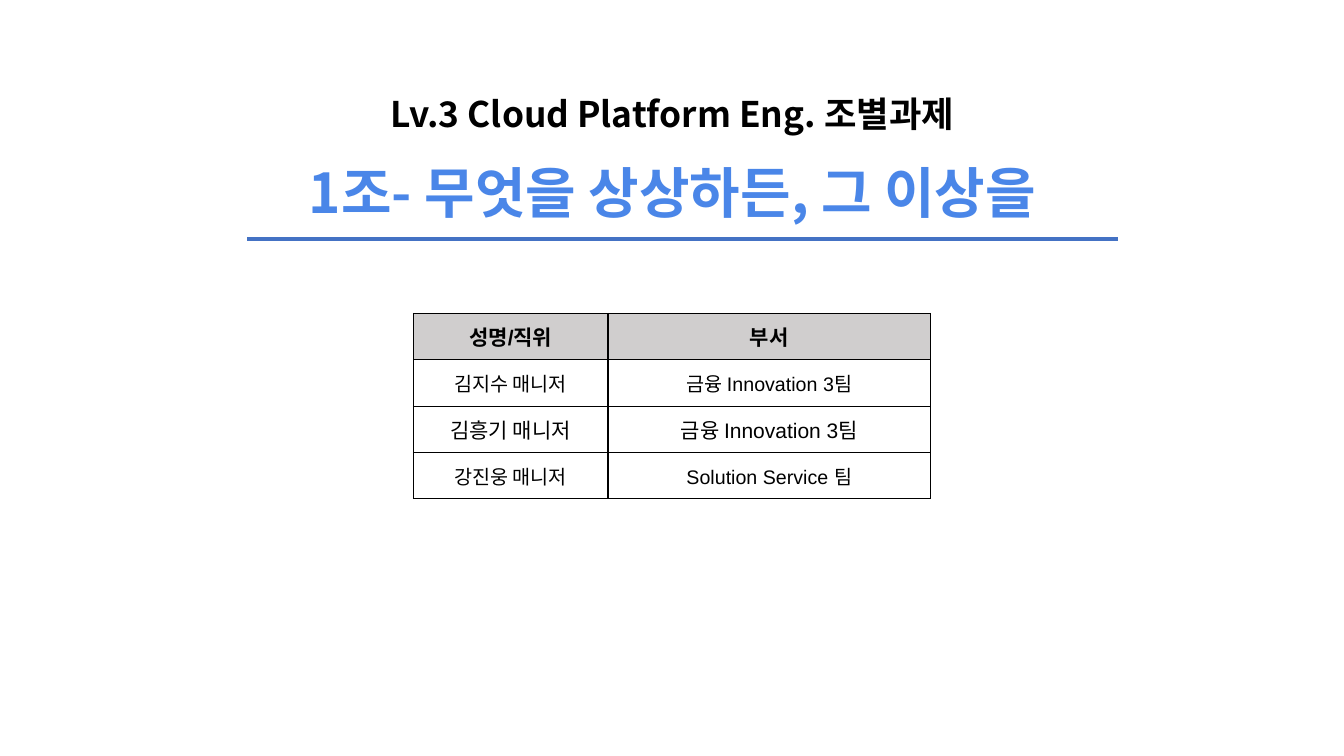
"""Build the title slide of a team assignment with its member table."""
from lxml import etree
from pptx import Presentation
from pptx import util as u
from pptx.dml.color import RGBColor
from pptx.enum import shapes, text
from pptx.oxml.ns import qn

BLACK = RGBColor(0x00, 0x00, 0x00)
WHITE = RGBColor(0xFF, 0xFF, 0xFF)
TITLE_BLUE = RGBColor(0x4A, 0x86, 0xE8)
RULE_BLUE = RGBColor(0x44, 0x72, 0xC4)
HEADER_GRAY = RGBColor(0xD0, 0xCE, 0xCE)
TITLE_FONT = "Noto Sans CJK KR"
TABLE_FONT = "Arial"

TITLE_LINES = [
    ("Lv.3 Cloud Platform Eng. 조별과제", 25.2, BLACK, 0),
    ("1조- 무엇을 상상하든, 그 이상을", 39.2, TITLE_BLUE, 22),
]
MEMBERS = [
    ("성명/직위", "부서", 15),
    ("김지수 매니저", "금융 Innovation 3팀", 14),
    ("김흥기 매니저", "금융 Innovation 3팀", 15),
    ("강진웅 매니저", "Solution Service 팀", 14),
]
COLUMN_WIDTHS = (1.93, 3.2)
ROW_HEIGHT = 0.46


def write_line(para, words, font_name, size, color, bold):
    """Fill a centred paragraph with one formatted run."""
    para.text = words
    para.alignment = text.PP_ALIGN.CENTER
    span = para.runs[0]
    span.font.name = font_name
    span.font.size = u.Pt(size)
    span.font.bold = bold
    span.font.color.rgb = color
    east_asian = etree.SubElement(span.font._element, qn("a:ea"))
    east_asian.set("typeface", TITLE_FONT)


def add_title(page):
    """Add the two-line title, resting on the bottom of its box."""
    box = page.shapes.add_textbox(u.Inches(1.67), u.Inches(0.99), u.Inches(10), u.Inches(1.29))
    frame = box.text_frame
    frame.word_wrap = True
    frame.vertical_anchor = text.MSO_ANCHOR.BOTTOM
    for index, (words, size, color, gap) in enumerate(TITLE_LINES):
        para = frame.add_paragraph() if index else frame.paragraphs[0]
        para.line_spacing = 0.9
        para.space_before = u.Pt(gap)
        write_line(para, words, TITLE_FONT, size, color, True)


def add_rule(page):
    """Add the blue rule under the title."""
    rule = page.shapes.add_connector(
        shapes.MSO_CONNECTOR.STRAIGHT,
        u.Inches(2.45), u.Inches(2.37), u.Inches(11.09), u.Inches(2.37))
    rule.line.color.rgb = RULE_BLUE
    rule.line.width = u.Pt(3)
    etree.SubElement(rule._element.spPr, qn("a:effectLst"))


def style_cell(cell, fill_color):
    """Give a cell its fill, middle anchor and thin black borders."""
    cell.vertical_anchor = text.MSO_ANCHOR.MIDDLE
    cell.fill.solid()
    cell.fill.fore_color.rgb = fill_color
    properties = cell._tc.get_or_add_tcPr()
    for position, side in enumerate(("lnL", "lnR", "lnT", "lnB")):
        border = etree.Element(qn(f"a:{side}"), w=str(u.Pt(1)))
        solid = etree.SubElement(border, qn("a:solidFill"))
        etree.SubElement(solid, qn("a:srgbClr"), val=str(BLACK))
        properties.insert(position, border)


def add_member_table(page):
    """Add the table of team members and their departments."""
    table = page.shapes.add_table(
        len(MEMBERS), len(COLUMN_WIDTHS), u.Inches(4.1), u.Inches(3.11),
        u.Inches(sum(COLUMN_WIDTHS)), u.Inches(ROW_HEIGHT * len(MEMBERS))).table
    for column, width in zip(table.columns, COLUMN_WIDTHS):
        column.width = u.Inches(width)
    for row_index, (*entries, size) in enumerate(MEMBERS):
        table.rows[row_index].height = u.Inches(ROW_HEIGHT)
        is_header = row_index == 0
        for column_index, words in enumerate(entries):
            cell = table.cell(row_index, column_index)
            style_cell(cell, HEADER_GRAY if is_header else WHITE)
            write_line(cell.text_frame.paragraphs[0], words, TABLE_FONT, size, BLACK, is_header)


def main():
    """Build and save the deck."""
    deck = Presentation()
    deck.slide_width = u.Inches(13.33)
    deck.slide_height = u.Inches(7.5)
    page = deck.slides.add_slide(deck.slide_layouts[6])
    add_title(page)
    add_rule(page)
    add_member_table(page)
    deck.save("out.pptx")


main()
